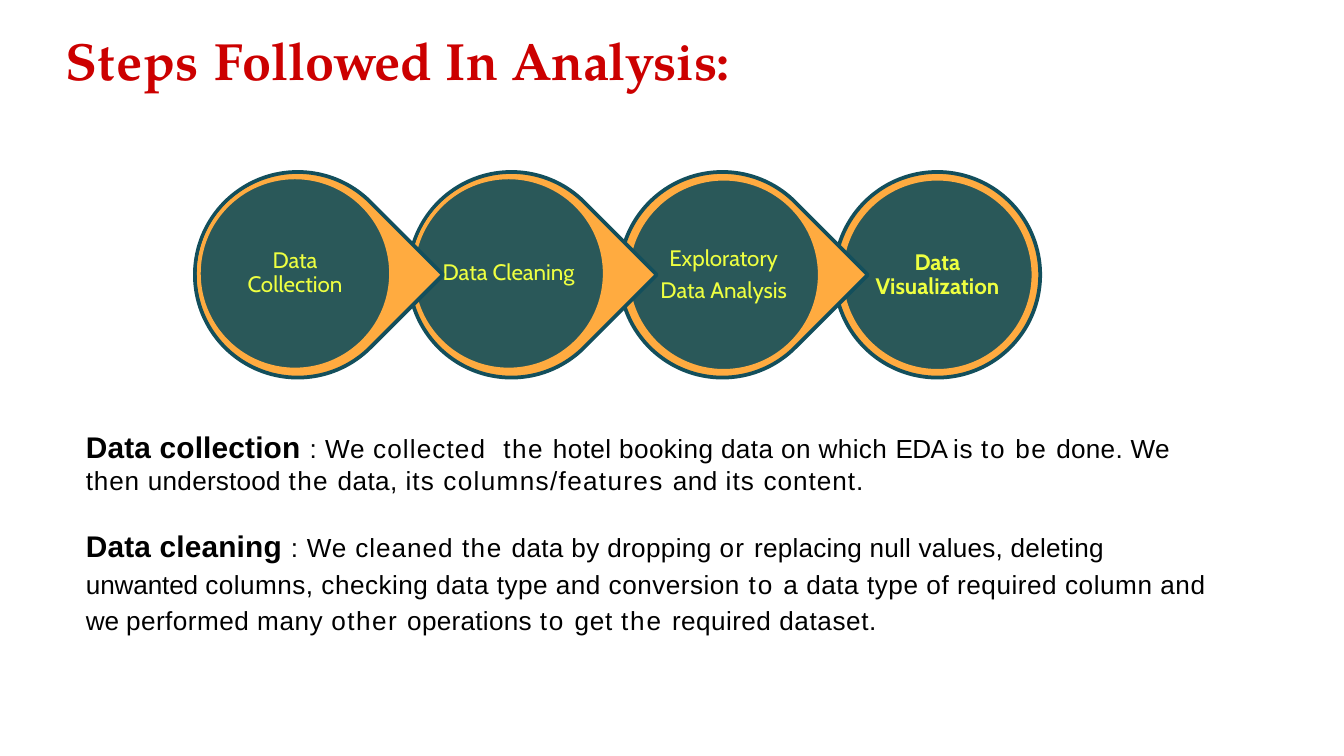
from dataclasses import dataclass
from typing import NamedTuple

import pptx
import pptx.dml.color
import pptx.enum.shapes
import pptx.enum.text
import pptx.oxml.ns
import pptx.util
from lxml import etree
from pptx.dml.color import RGBColor
from pptx.util import Inches, Pt

RED = RGBColor(0xCC, 0x00, 0x00)
BLACK = RGBColor(0x00, 0x00, 0x00)
ORANGE = RGBColor(0xFF, 0xAB, 0x40)
TEAL = RGBColor(0x13, 0x4F, 0x5C)
YELLOW = RGBColor(0xEE, 0xFF, 0x41)

SLIDE_WIDTH = 10
DROP_SIZE, DROP_TOP = 1.53, 1.28
DISC_SIZE, LABEL_SIZE = 1.43, 1.02
ELLIPSE = pptx.enum.shapes.MSO_SHAPE.OVAL
TEARDROP = pptx.enum.shapes.MSO_SHAPE.TEAR


class Span(NamedTuple):
    text: str
    spacing: float = 0
    size: float = 14
    bold: bool = False


@dataclass
class Step:
    label: str
    drop_left: float
    disc_left: float
    disc_top: float
    final: bool = False


TITLE = [
    Span("Steps ", 0.5, 28, True),
    Span("Followed", -0.1, 28, True),
    Span(" In ", 0, 28, True),
    Span("Analysis:", -0.1, 28, True),
]

COLLECTION = [
    Span("Data collection ", 0.1, 16, True),
    Span(": We ", 0.3),
    Span("collected  ", 0.6),
    Span("the ", 0.8),
    Span("hotel booking data on which ", 0.2),
    Span("EDA ", -0.4),
    Span("is ", 0.35),
    Span("to ", 0.9),
    Span("be ", 0.8),
    Span("done. We ", 0.15),
    Span("then ", 0.4),
    Span("understood ", 0.1),
    Span("the ", 0.7),
    Span("data, ", 0.2),
    Span("its ", 0.6),
    Span("columns/features ", 0.7),
    Span("and ", 0.25),
    Span("its ", 0.6),
    Span("content.", 0.5),
]

CLEANING = [
    Span("Data cleaning ", 0.1, 16, True),
    Span(": We ", 0.4),
    Span("cleaned ", 0.5),
    Span("the ", 0.8),
    Span("data by dropping ", 0.16),
    Span("or ", 0.7),
    Span("replacing null values, deleting ", 0.1),
    Span("unwanted ", -0.1),
    Span("columns, checking data type and conversion ", 0.25),
    Span("to ", 1),
    Span("a data type of required column and ", 0.28),
    Span("we ", -0.2),
    Span("performed many ", 0.25),
    Span("other ", 0.8),
    Span("operations ", 0.15),
    Span("to ", 1),
    Span("get ", 0.4),
    Span("the ", 0.95),
    Span("required ", 0.24),
    Span("dataset.", 0.3),
]

STEPS = [
    Step("Data Collection", 1.45, 1.48, 1.32),
    Step("Data Cleaning", 3.04, 3.07, 1.32),
    Step("Exploratory\nData Analysis", 4.61, 4.67, 1.33),
    Step("Data Visualization", 6.21, 6.26, 1.33, final=True),
]


def add_text_frame(slide, left: float, top: float, width: float, height: float,
                   side_inset: float, top_inset: float, bottom_inset: float):
    box = slide.shapes.add_textbox(Inches(left), Inches(top), Inches(width), Inches(height))
    frame = box.text_frame
    frame.word_wrap = True
    frame.margin_left = frame.margin_right = Inches(side_inset)
    frame.margin_top, frame.margin_bottom = Inches(top_inset), Inches(bottom_inset)
    return frame


def write_spans(paragraph, spans: list[Span], font: str, color: RGBColor,
                margin: float, space_before: float) -> None:
    paragraph.space_before = Pt(space_before)
    properties = paragraph._p.get_or_add_pPr()
    properties.set("marL", str(Inches(margin)))
    properties.set("indent", "0")
    for span in spans:
        run = paragraph.add_run()
        run.text = span.text
        run.font.name, run.font.size = font, Pt(span.size)
        run.font.bold = span.bold
        run.font.color.rgb = color
        run._r.get_or_add_rPr().set("spc", str(round(span.spacing * 100)))


def add_round(slide, kind, left: float, top: float, size: float,
              fill: RGBColor, line: RGBColor):
    shape = slide.shapes.add_shape(kind, Inches(left), Inches(top), Inches(size), Inches(size))
    shape.shadow.inherit = False
    shape.fill.solid()
    shape.fill.fore_color.rgb = fill
    shape.line.color.rgb = line
    shape.line.width = Pt(2)
    return shape


def set_opacity(shape, percent: int) -> None:
    qualified = pptx.oxml.ns.qn
    color = shape._element.spPr.find(qualified("a:solidFill")).find(qualified("a:srgbClr"))
    etree.SubElement(color, qualified("a:alpha")).set("val", str(percent * 1000))


def add_step(slide, step: Step) -> None:
    # Outer drop pointing to the next step; the last one is a plain circle
    drop = add_round(slide, ELLIPSE if step.final else TEARDROP,
                     step.drop_left, DROP_TOP, DROP_SIZE, ORANGE, TEAL)
    if not step.final:
        drop.rotation = 45

    # Inner disc
    disc = add_round(slide, ELLIPSE, step.disc_left, step.disc_top, DISC_SIZE, TEAL, ORANGE)
    set_opacity(disc, 90)

    # Label centred on the disc
    offset = (DISC_SIZE - LABEL_SIZE) / 2
    frame = add_text_frame(slide, step.disc_left + offset, step.disc_top + offset,
                           LABEL_SIZE, LABEL_SIZE, 0.01, 0.02, 0.02)
    frame.vertical_anchor = pptx.enum.text.MSO_ANCHOR.MIDDLE
    frame.text = step.label
    for paragraph in frame.paragraphs:
        paragraph.alignment = pptx.enum.text.PP_ALIGN.CENTER
        paragraph.line_spacing = 0.9
        paragraph.space_after = Pt(4.2)
        for run in paragraph.runs:
            run.font.name, run.font.size = "Cabin", Pt(12)
            run.font.bold = step.final
            run.font.color.rgb = YELLOW


def main() -> None:
    presentation = pptx.Presentation()
    presentation.slide_width = Inches(SLIDE_WIDTH)
    presentation.slide_height = Inches(SLIDE_WIDTH * 9 / 16)
    slide = presentation.slides.add_slide(presentation.slide_layouts[6])

    # Title
    title = add_text_frame(slide, 0.34, 0.13, 9.32, 0.57, 0, 0.08, 0)
    write_spans(title.paragraphs[0], TITLE, "TeX Gyre Pagella", RED, 0.15, 1)

    # Explanations
    body = add_text_frame(slide, 0.63, 3.18, 8.41, 1.55, 0, 0.01, 0)
    write_spans(body.paragraphs[0], COLLECTION, "Arial", BLACK, 0.01, 1)
    cleaning = body.add_paragraph()
    cleaning.line_spacing = 1.15
    write_spans(cleaning, CLEANING, "Arial", BLACK, 0.01, 14.2)

    # Process chain, last step at the back
    for step in reversed(STEPS):
        add_step(slide, step)

    presentation.save("out.pptx")


if __name__ == "__main__":
    main()
